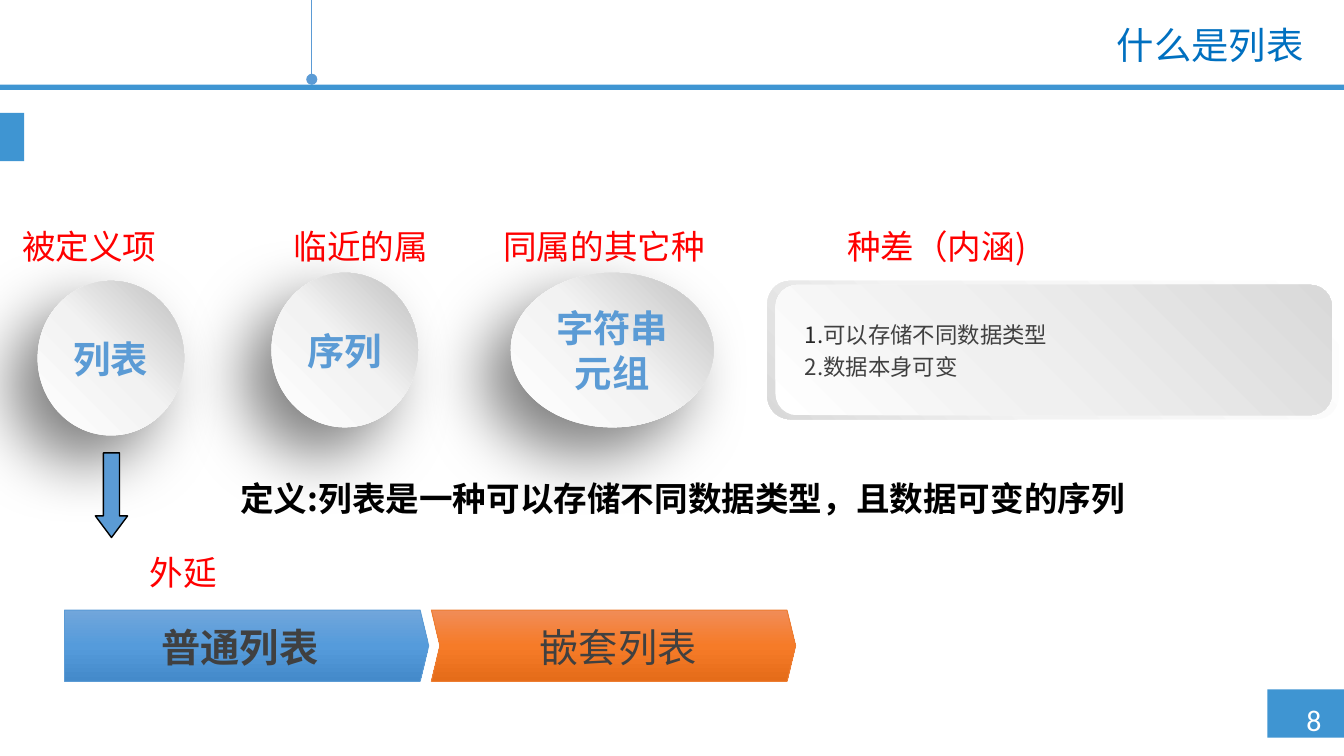
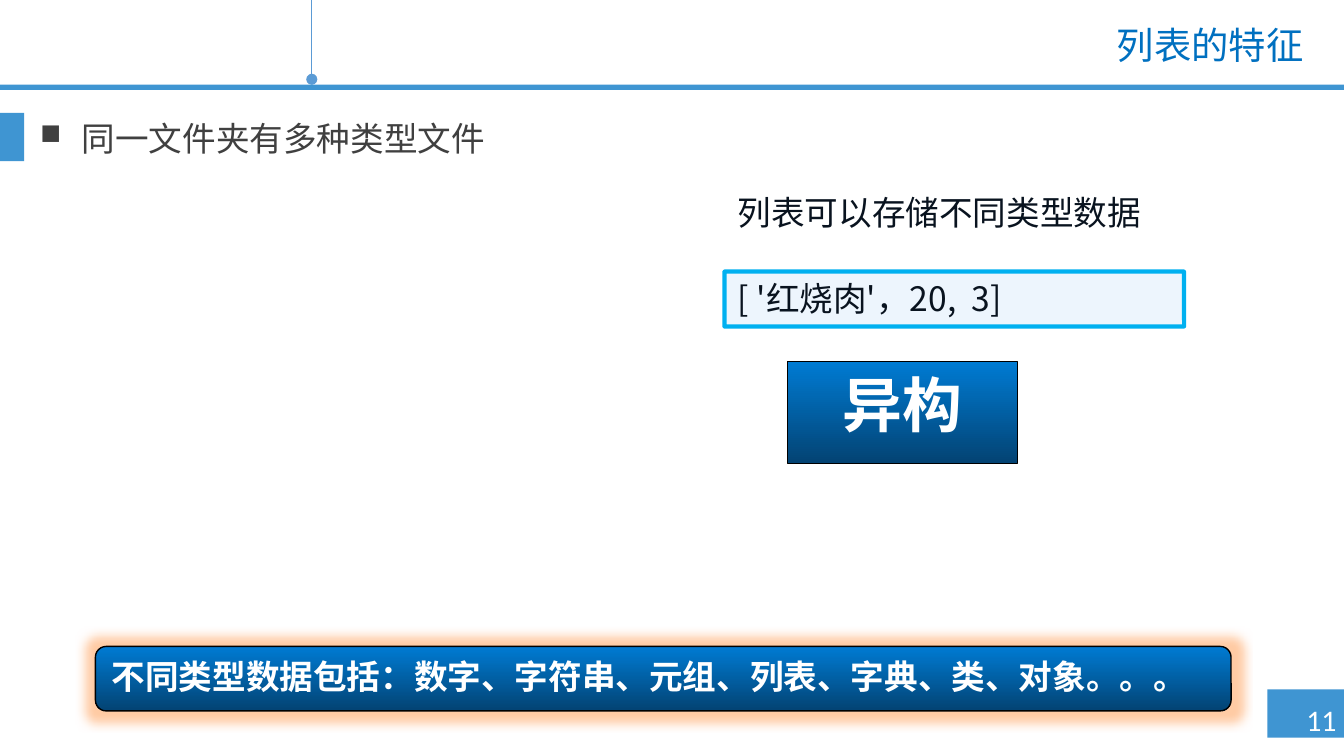
"""Build two slides that define a Python list and show its main feature."""
from dataclasses import dataclass, replace

from lxml import etree
from pptx import Presentation
from pptx.dml.color import RGBColor
from pptx.enum.shapes import MSO_CONNECTOR, MSO_SHAPE
from pptx.enum.text import MSO_ANCHOR, PP_ALIGN
from pptx.oxml.ns import qn
from pptx.shapes.autoshape import Shape
from pptx.slide import Slide
from pptx.text.text import _Paragraph as Paragraph
from pptx.util import Emu, Pt

EMU_PER_PX = 9144
PAGE_WIDTH = 1000
BLANK_LAYOUT = 6
CHINESE_FONT, LATIN_FONT = "Noto Sans CJK SC", "Calibri"

RECT, ROUND, ELLIPSE = MSO_SHAPE.RECTANGLE, MSO_SHAPE.ROUNDED_RECTANGLE, MSO_SHAPE.OVAL
CHEVRON, PENTAGON, ARROW = MSO_SHAPE.CHEVRON, MSO_SHAPE.PENTAGON, MSO_SHAPE.DOWN_ARROW
LEFT, CENTER, RIGHT = PP_ALIGN.LEFT, PP_ALIGN.CENTER, PP_ALIGN.RIGHT
TOP, MIDDLE = MSO_ANCHOR.TOP, MSO_ANCHOR.MIDDLE
STRAIGHT = MSO_CONNECTOR.STRAIGHT

BLACK = RGBColor(0x00, 0x00, 0x00)
WHITE = RGBColor(0xFF, 0xFF, 0xFF)
RED = RGBColor(0xFF, 0x00, 0x00)
BAND_BLUE = RGBColor(0x3F, 0x95, 0xD2)
TITLE_BLUE = RGBColor(0x00, 0x70, 0xC0)
ACCENT_BLUE = RGBColor(0x5B, 0x9B, 0xD5)
ACCENT_ORANGE = RGBColor(0xED, 0x7D, 0x31)
GLOW_ORANGE = RGBColor(0xFF, 0x7D, 0x1C)
FRAME_CYAN = RGBColor(0x00, 0xB0, 0xF0)
PALE_BLUE = RGBColor(0xED, 0xF5, 0xFD)
NAVY = RGBColor(0x09, 0x13, 0x1F)
DARK_GRAY = RGBColor(0x26, 0x26, 0x26)
TEXT_GRAY = RGBColor(0x40, 0x40, 0x40)
PALE_GRAY = RGBColor(0xF2, 0xF2, 0xF2)
SOFT_GRAY = RGBColor(0xF0, 0xF0, 0xF0)
LIGHT_GRAY = RGBColor(0xD9, 0xD9, 0xD9)
MID_GRAY = RGBColor(0xBF, 0xBF, 0xBF)


@dataclass(frozen=True)
class Gradient:
    """Colour stops in percent and a clockwise angle."""

    stops: tuple[tuple[int, RGBColor], ...]
    angle: int


@dataclass(frozen=True)
class Effect:
    """A shadow or a glow with attributes of its element."""

    tag: str
    color: RGBColor
    alpha: int
    values: tuple[tuple[str, str], ...]


@dataclass(frozen=True)
class TextStyle:
    """The look of all paragraphs in a box."""

    size: int
    color: RGBColor
    bold: bool = False
    font: str = CHINESE_FONT
    align: PP_ALIGN = LEFT
    anchor: MSO_ANCHOR = TOP
    spacing: float | Pt = 1.0
    bullet: str = ""
    indent: int = 0
    inset: tuple[int, int] = (10, 5)


@dataclass(frozen=True)
class Box:
    """A preset shape, or a text box when no kind is given."""

    left: int
    top: int
    width: int
    height: int
    kind: MSO_SHAPE | None = None
    fill: RGBColor | Gradient | None = None
    line: tuple[RGBColor, float] | None = None
    effect: Effect | None = None
    adjust: tuple[float, ...] = ()
    text: tuple[str, ...] = ()
    style: TextStyle | None = None


@dataclass(frozen=True)
class Page:
    """A slide with its title, number and boxes."""

    title: str
    number: int
    boxes: tuple[Box, ...]


BALL_FILL = Gradient(((0, WHITE), (51, PALE_GRAY), (100, MID_GRAY)), 315)
PANEL_EDGE = Gradient(((0, WHITE), (62, PALE_GRAY), (100, LIGHT_GRAY)), 135)
PANEL_FILL = Gradient(((0, WHITE), (42, SOFT_GRAY), (100, LIGHT_GRAY)), 315)
DEEP_BLUE = Gradient(((0, RGBColor(0x00, 0x7B, 0xD3)), (100, RGBColor(0x03, 0x43, 0x73))), 90)
STEP_BLUE = Gradient(((0, RGBColor(0x71, 0xA6, 0xDB)), (50, RGBColor(0x55, 0x9B, 0xDB)),
                      (100, RGBColor(0x44, 0x8A, 0xCA))), 90)
STEP_ORANGE = Gradient(((0, RGBColor(0xF1, 0x8C, 0x57)), (50, RGBColor(0xF6, 0x7B, 0x28)),
                        (100, RGBColor(0xE5, 0x6C, 0x19))), 90)
BALL_SHADOW = Effect("a:outerShdw", BLACK, 50,
                     (("blurRad", "444500"), ("dist", "254000"), ("dir", "8100000"),
                      ("algn", "tr"), ("rotWithShape", "0")))
BAR_GLOW = Effect("a:glow", GLOW_ORANGE, 40, (("rad", "139700"),))

TITLE = TextStyle(20, TITLE_BLUE, align=RIGHT, anchor=MIDDLE, spacing=0.9)
NUMBER = TextStyle(16, WHITE, font=LATIN_FONT, inset=(0, 5))
LABEL = TextStyle(18, RED, align=CENTER)
BALL = TextStyle(20, ACCENT_BLUE, bold=True, align=CENTER, anchor=MIDDLE)
POINTS = TextStyle(12, TEXT_GRAY, spacing=1.2)
DEFINITION = TextStyle(18, BLACK, bold=True)
STEP = TextStyle(21, TEXT_GRAY, align=CENTER, anchor=MIDDLE, inset=(0, 0))
BULLET = TextStyle(18, TEXT_GRAY, spacing=Pt(25), bullet="■", indent=31)
EXAMPLE = TextStyle(18, NAVY)
BADGE = TextStyle(32, WHITE, bold=True, align=CENTER)
SUMMARY = TextStyle(18, WHITE, bold=True)

BANDS = (
    Box(943, 513, 57, 36, RECT, BAND_BLUE),
    Box(0, 63, PAGE_WIDTH, 4, RECT, BAND_BLUE),
    Box(0, 84, 18, 36, RECT, BAND_BLUE),
)


def label(left: int, top: int, width: int, text: str) -> Box:
    """Describe a red caption."""
    return Box(left, top, width, 40, text=(text,), style=LABEL)


def ball(left: int, top: int, width: int, *text: str) -> Box:
    """Describe a shaded ball with a term in it."""
    return Box(left, top, width, 115, ELLIPSE, BALL_FILL, effect=BALL_SHADOW,
               text=text, style=BALL)


def step(left: int, kind: MSO_SHAPE, fill: Gradient, edge: RGBColor) -> Box:
    """Describe a block of the row of list types."""
    return Box(left, 454, 271, 53, kind, fill, (edge, 0.5), adjust=(0.12,))


PAGES = (
    Page("什么是列表", 8, (
        ball(28, 209, 109, "列表"),
        label(0, 163, 133, "被定义项"),
        label(157, 163, 223, "临近的属"),
        ball(202, 203, 109, "序列"),
        label(600, 163, 194, "种差（内涵)"),
        Box(571, 209, 425, 103, ROUND, PANEL_EDGE),
        Box(577, 212, 414, 97, ROUND, PANEL_FILL),
        Box(589, 230, 400, 82, text=("1.可以存储不同数据类型", "2.数据本身可变"), style=POINTS),
        Box(169, 351, 764, 40, text=("定义:列表是一种可以存储不同数据类型，且数据可变的序列",),
            style=DEFINITION),
        label(338, 163, 223, "同属的其它种"),
        ball(380, 203, 151, "字符串", "元组"),
        Box(71, 337, 24, 63, ARROW, ACCENT_BLUE, (BLACK, 0.75), adjust=(0.5, 0.67)),
        label(25, 406, 223, "外延"),
        step(321, CHEVRON, STEP_ORANGE, ACCENT_ORANGE),
        Box(352, 464, 216, 35, text=("嵌套列表",), style=STEP),
        step(48, PENTAGON, STEP_BLUE, ACCENT_BLUE),
        Box(59, 464, 239, 35, text=("普通列表",), style=replace(STEP, bold=True)),
    )),
    Page("列表的特征", 11, (
        Box(20, 78, 945, 409, text=("同一文件夹有多种类型文件",), style=BULLET),
        Box(586, 269, 171, 76, RECT, DEEP_BLUE, (BLACK, 0.75), text=("异构",), style=BADGE),
        Box(539, 138, 377, 41, ROUND, adjust=(0.01,),
            text=("列表可以存储不同类型数据",), style=EXAMPLE),
        Box(539, 202, 342, 41, ROUND, PALE_BLUE, (FRAME_CYAN, 2.25), adjust=(0.01,),
            text=("[ '红烧肉'，20,  3]",), style=EXAMPLE),
        Box(71, 481, 845, 48, ROUND, DEEP_BLUE, (BLACK, 0.75), BAR_GLOW,
            text=("不同类型数据包括：数字、字符串、元组、列表、字典、类、对象。。。",),
            style=SUMMARY),
    )),
)


def px(length: int) -> Emu:
    """Turn px into EMU."""
    return Emu(length * EMU_PER_PX)


def add_color(parent: etree._Element, color: RGBColor) -> etree._Element:
    """Add a colour element to a parent."""
    return etree.SubElement(parent, qn("a:srgbClr"), val=str(color))


def paint(shape: Shape, fill: RGBColor | Gradient | None) -> None:
    """Fill a shape with a colour, a gradient or nothing."""
    if fill is None:
        shape.fill.background()
    elif isinstance(fill, Gradient):
        shape.fill.gradient()
        element = shape.element.spPr.find(qn("a:gradFill"))
        for child in list(element):
            element.remove(child)
        stops = etree.SubElement(element, qn("a:gsLst"))
        for percent, color in fill.stops:
            add_color(etree.SubElement(stops, qn("a:gs"), pos=str(percent * 1000)), color)
        etree.SubElement(element, qn("a:lin"), ang=str(fill.angle * 60000), scaled="0")
    else:
        shape.fill.solid()
        shape.fill.fore_color.rgb = fill


def add_effect(shape: Shape, effect: Effect) -> None:
    """Add a shadow or a glow to a shape."""
    effects = shape.element.spPr.find(qn("a:effectLst"))
    element = etree.SubElement(effects, qn(effect.tag), dict(effect.values))
    etree.SubElement(add_color(element, effect.color), qn("a:alpha"), val=str(effect.alpha * 1000))


def add_span(para: Paragraph, text: str, style: TextStyle, color: RGBColor) -> None:
    """Add formatted text to a paragraph."""
    span = para.add_run()
    span.text = text
    span.font.color.rgb = color
    formats = {"name": style.font, "size": Pt(style.size), "bold": style.bold}
    for name, value in formats.items():
        setattr(span.font, name, value)
    etree.SubElement(span.font._element, qn("a:ea"), typeface=style.font)


def write(shape: Shape, lines: tuple[str, ...], style: TextStyle) -> None:
    """Write lines of text into a shape."""
    frame = shape.text_frame
    side, edge = map(px, style.inset)
    formats = {"word_wrap": True, "vertical_anchor": style.anchor, "margin_left": side,
               "margin_right": side, "margin_top": edge, "margin_bottom": edge}
    for name, value in formats.items():
        setattr(frame, name, value)
    for index, line in enumerate(lines):
        para = frame.add_paragraph() if index else frame.paragraphs[0]
        para.alignment, para.line_spacing = style.align, style.spacing
        if style.bullet:
            properties = para._p.get_or_add_pPr()
            properties.set("marL", str(px(style.indent)))
            properties.set("indent", str(-px(style.indent)))
            etree.SubElement(properties, qn("a:buSzPct"), val="85000")
            etree.SubElement(properties, qn("a:buChar"), char=style.bullet)
        if style is POINTS and index == 0:
            add_span(para, line[:2], style, DARK_GRAY)
            line = line[2:]
        add_span(para, line, style, style.color)


def draw(slide: Slide, box: Box) -> None:
    """Draw a box on a slide."""
    area = [px(length) for length in (box.left, box.top, box.width, box.height)]
    if box.kind is None:
        shape = slide.shapes.add_textbox(*area)
    else:
        shape = slide.shapes.add_shape(box.kind, *area)
        shape.shadow.inherit = False
        paint(shape, box.fill)
        for index, value in enumerate(box.adjust):
            shape.adjustments[index] = value
        if box.line:
            shape.line.color.rgb, shape.line.width = box.line[0], Pt(box.line[1])
        else:
            shape.line.fill.background()
        if box.effect:
            add_effect(shape, box.effect)
    if box.style:
        write(shape, box.text, box.style)


def draw_pendant(slide: Slide) -> None:
    """Draw the thin line that hangs from the top edge."""
    pendant = slide.shapes.add_connector(STRAIGHT, px(232), 0, px(232), px(59))
    pendant.line.color.rgb, pendant.line.width = ACCENT_BLUE, Pt(0.75)
    etree.SubElement(pendant.line._get_or_add_ln(), qn("a:tailEnd"), type="oval")
    etree.SubElement(pendant._element.spPr, qn("a:effectLst"))


def main() -> None:
    """Build and save the deck."""
    deck = Presentation()
    deck.slide_width, deck.slide_height = px(PAGE_WIDTH), Emu(px(PAGE_WIDTH) * 9 // 16)
    for page in PAGES:
        slide = deck.slides.add_slide(deck.slide_layouts[BLANK_LAYOUT])
        draw_pendant(slide)
        number = Box(972, 517, 28, 37, text=(str(page.number),), style=NUMBER)
        title = Box(240, 15, 740, 40, text=(page.title,), style=TITLE)
        for box in (*BANDS, number, title, *page.boxes):
            draw(slide, box)
    deck.save("out.pptx")


if __name__ == "__main__":
    main()
